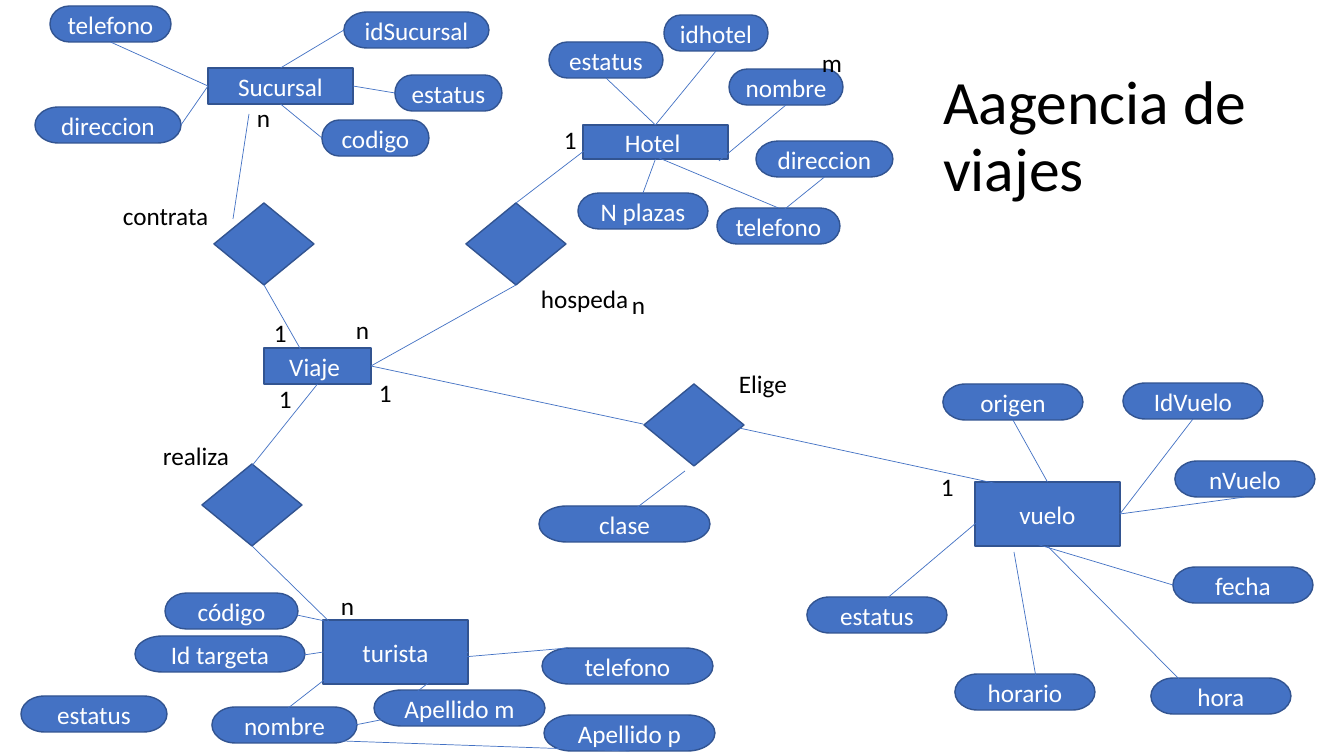
from pptx import Presentation, util as u
from pptx.dml.color import RGBColor
from pptx.enum import shapes, text
from pptx.oxml.ns import qn
from lxml import etree

SCALE = 914400 / 100.8
TOP, LEFT, BOTTOM, RIGHT = range(4)  # connection sites
ATTRIBUTE_H = 36
DIAMOND_W, DIAMOND_H = 100, 82


def px(length):
    """Turn pixels into EMU."""
    return u.Emu(round(length * SCALE))


def colour(code):
    """Turn a hex string into a colour."""
    return RGBColor.from_string(code)


def write(frame, words, size=18, ink="000000", font="Calibri",
          align=text.PP_ALIGN.LEFT, anchor=text.MSO_ANCHOR.TOP, spacing=None):
    """Put formatted words into a text frame."""
    frame.word_wrap = True
    frame.vertical_anchor = anchor
    paragraph = frame.paragraphs[0]
    paragraph.alignment = align
    paragraph.line_spacing = spacing
    run = paragraph.add_run()
    run.text = words
    run.font.size = u.Pt(size)
    run.font.name = font
    run.font.color.rgb = colour(ink)


class Diagram:
    """Style and current slide of an entity-relationship diagram."""
    fill, border, ink = "4472C4", "325491", "FFFFFF"

    def __init__(self, slide):
        """Keep the slide to draw on."""
        self.slide = slide

    def title(self, words, x, y, w, h):
        """Move and fill the title placeholder."""
        heading = self.slide.shapes.title
        heading.left, heading.top, heading.width, heading.height = map(px, (x, y, w, h))
        write(heading.text_frame, words, size=44, anchor=text.MSO_ANCHOR.MIDDLE, spacing=0.9)

    def node(self, kind, x, y, w, h, words=""):
        """Draw a filled shape, with centred words if any."""
        shape = self.slide.shapes.add_shape(kind, *map(px, (x, y, w, h)))
        shape.shadow.inherit = False
        shape.fill.solid()
        shape.fill.fore_color.rgb = colour(self.fill)
        shape.line.color.rgb = colour(self.border)
        shape.line.width = u.Pt(1)
        if words:
            write(shape.text_frame, words, ink=self.ink, align=text.PP_ALIGN.CENTER,
                  anchor=text.MSO_ANCHOR.MIDDLE)
        return shape

    def entity(self, words, x, y, w, h):
        """Draw an entity rectangle."""
        return self.node(shapes.MSO_SHAPE.RECTANGLE, x, y, w, h, words)

    def attribute(self, words, x, y, w):
        """Draw an attribute pill."""
        return self.node(shapes.MSO_SHAPE.FLOWCHART_TERMINATOR, x, y, w, ATTRIBUTE_H, words)

    def relationship(self, x, y):
        """Draw a relationship diamond."""
        return self.node(shapes.MSO_SHAPE.DIAMOND, x, y, DIAMOND_W, DIAMOND_H)

    def label(self, words, x, y, w):
        """Write a free label."""
        box = self.slide.shapes.add_textbox(*map(px, (x, y, w, 40)))
        write(box.text_frame, words)

    def link(self, start, end):
        """Join two ends, each an (x, y) point or a (shape, site) pair."""
        points = [(0, 0) if hasattr(a, "width") else (px(a), px(b))
                  for a, b in (start, end)]
        line = self.slide.shapes.add_connector(shapes.MSO_CONNECTOR.STRAIGHT,
                                               *points[0], *points[1])
        for (a, b), glue in ((start, line.begin_connect), (end, line.end_connect)):
            if hasattr(a, "width"):
                glue(a, b)
        line.line.color.rgb = colour(self.fill)
        line.line.width = u.Pt(0.5)
        etree.SubElement(line._element.spPr, qn("a:effectLst"))


ENTITIES = {
    "Sucursal": ("Sucursal", 208, 68, 145, 36),
    "Viaje": ("Viaje ", 264, 348, 107, 36),
    "turista": ("turista", 323, 620, 145, 64),
    "vuelo": ("vuelo", 975, 482, 145, 64),
    "Hotel": ("Hotel ", 583, 125, 145, 34),
}
RELATIONSHIPS = {"contrata": (214, 203), "hospeda": (466, 203),
                 "realiza": (202, 464), "Elige": (644, 384)}
# Per owner: name, x, y, width, end at the attribute, end at the owner.
# An end is a connection site or a free point; None leaves it unlinked.
ATTRIBUTES = {
    "Sucursal": [
        ("telefono", 50, 6, 121, BOTTOM, LEFT),
        ("direccion", 35, 107, 146, RIGHT, LEFT),
        ("idSucursal", 344, 12, 145, LEFT, TOP),
        ("estatus", 395, 75, 107, LEFT, RIGHT),
        ("codigo", 322, 120, 107, LEFT, BOTTOM),
    ],
    "Hotel": [
        ("estatus", 549, 42, 114, BOTTOM, TOP),
        ("idhotel", 664, 15, 104, BOTTOM, TOP),
        ("nombre", 729, 69, 114, BOTTOM, (719, 161)),
        ("N plazas", 578, 193, 130, TOP, BOTTOM),
        ("telefono", 717, 208, 123, TOP, (652, 155)),
        ("direccion", 756, 141, 137, BOTTOM, (775, 217)),
    ],
    "turista": [
        ("código", 165, 593, 133, (264, 608), (353, 627)),
        ("Id targeta", 135, 636, 170, (284, 658), (350, 648)),
        ("estatus", 21, 696, 146, None, None),
        ("nombre", 212, 707, 145, (269, 723), (337, 670)),
        ("Apellido m", 374, 690, 171, (400, 705), (468, 652)),
        ("Apellido p", 544, 715, 171, BOTTOM, (285, 739)),
        ("telefono", 542, 648, 171, (568, 648), (440, 659)),
    ],
    "Elige": [("clase", 539, 506, 171, (618, 522), (685, 471))],
    "vuelo": [
        ("origen", 943, 384, 140, BOTTOM, TOP),
        ("IdVuelo", 1123, 383, 140, BOTTOM, RIGHT),
        ("nVuelo", 1175, 461, 140, BOTTOM, RIGHT),
        ("fecha", 1173, 567, 140, LEFT, (1036, 544)),
        ("hora", 1151, 678, 140, (1179, 679), BOTTOM),
        ("horario", 955, 674, 140, (1036, 677), (1014, 552)),
        ("estatus", 807, 597, 140, (872, 611), (995, 507)),
    ],
}
LABELS = [
    ("contrata", 113, 195, 115), ("hospeda", 531, 278, 115),
    ("realiza", 153, 435, 115), ("Elige", 729, 363, 115),
    ("n", 247, 97, 22), ("n", 346, 309, 22), ("n", 622, 284, 22), ("n", 331, 585, 22),
    ("1", 264, 312, 33), ("1", 554, 119, 33), ("1", 269, 378, 33),
    ("1", 369, 372, 33), ("1", 931, 466, 33), ("m", 812, 42, 40),
]

deck = Presentation()
deck.slide_width, deck.slide_height = px(1344), px(756)
diagram = Diagram(deck.slides.add_slide(deck.slide_layouts[5]))
diagram.title("Aagencia de viajes", 933, 65, 355, 146)

nodes = {name: diagram.entity(*place) for name, place in ENTITIES.items()}
nodes.update((name, diagram.relationship(*place)) for name, place in RELATIONSHIPS.items())

for owner, attributes in ATTRIBUTES.items():
    for name, x, y, w, near, far in attributes:
        pill = diagram.attribute(name, x, y, w)
        if near is not None:
            diagram.link(*(end if isinstance(end, tuple) else (node, end)
                           for node, end in ((pill, near), (nodes[owner], far))))

viaje, hospeda = nodes["Viaje"], nodes["hospeda"]
for start, end in [
    ((249, 114), (233, 219)),
    ((nodes["contrata"], BOTTOM), (301, 350)),
    ((viaje, RIGHT), (hospeda, BOTTOM)),
    ((hospeda, TOP), (584, 151)),
    ((viaje, BOTTOM), (247, 472)),
    ((nodes["realiza"], BOTTOM), (344, 636)),
    ((viaje, RIGHT), (643, 424)),
    ((739, 428), (1012, 487)),
    ((285, 739), (400, 716)),
]:
    diagram.link(start, end)

for label in LABELS:
    diagram.label(*label)

deck.save("out.pptx")
